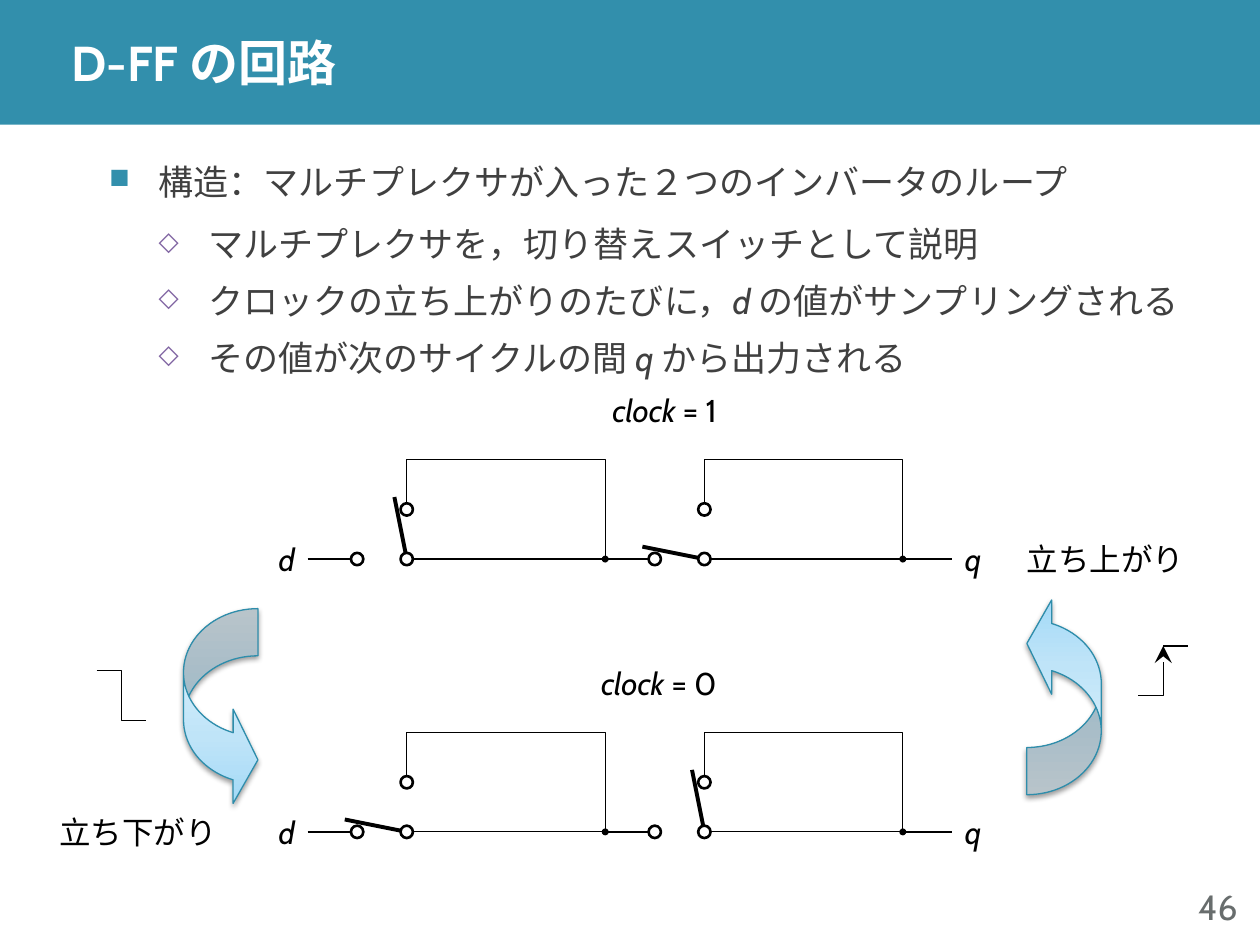
"""Build a slide that explains the D-FF circuit with two switch loops."""
from lxml.etree import SubElement
from pptx import Presentation
from pptx.dml.color import RGBColor
from pptx.enum.shapes import MSO_CONNECTOR, MSO_SHAPE
from pptx.enum.text import MSO_ANCHOR, PP_ALIGN
from pptx.oxml.ns import qn
from pptx.util import Cm, Inches, Pt

COLORS = {
    "band": "328FAC", "white": "FFFFFF", "black": "000000", "body": "404040",
    "number": "686D6D", "diamond": "8064A2", "arrow_edge": "2E8DAB",
}
ARROW_STOPS = [(0, "A2D9F7"), (35, "BFE4F8"), (100, "E6F5FD")]
FONT = "Cabin"
TITLE = "D-FF の回路"
POINTS = [
    (0, "構造：マルチプレクサが入った２つのインバータのループ"),
    (1, "マルチプレクサを，切り替えスイッチとして説明"),
    (1, "クロックの立ち上がりのたびに，*d* の値がサンプリングされる"),
    (1, "その値が次のサイクルの間 *q* から出力される"),
]
LEVELS = [
    dict(mark="■", color="band", size=80, before=0, after=6),
    dict(mark="◇", color="diamond", size=75, before=3, after=3),
]
CIRCUITS = [
    dict(row=0, clock="*clock* = 1", levers=[(-0.25, -1.25), (-1.25, -0.25)]),
    dict(row=5.5, clock="*clock* = 0", levers=[(-1.25, -0.25), (-0.25, -1.25)]),
]
EDGE_LABELS = [(15.25, -0.5, "立ち上がり"), (-4.25, 5, "立ち下がり")]
CYCLE_ARROWS = [(-1.5, 1, 0), (15.5, 0.75, 180)]
PIVOTS = [3, 9]
LOOP_WIDTH, LOOP_HEIGHT, CONTACT = 4, 2, 0.25
ORIGIN_X, ORIGIN_Y, CELL = Cm(5.2), Cm(11.27), Cm(1)

deck = Presentation()
deck.slide_width, deck.slide_height = Inches(10), Inches(7.5)
slide = deck.slides.add_slide(deck.slide_layouts[6])
shapes = slide.shapes


def rgb(name):
    return RGBColor.from_string(COLORS[name])


def at(column, row):
    return ORIGIN_X + round(column * CELL), ORIGIN_Y + round(row * CELL)


def box(column, row, width, height):
    return *at(column, row), round(width * CELL), round(height * CELL)


def add_bullet(paragraph, level):
    style = LEVELS[level]
    paragraph.level = level
    paragraph.line_spacing = 1.1
    paragraph.space_before, paragraph.space_after = Pt(style["before"]), Pt(style["after"])
    props = paragraph._p.get_or_add_pPr()
    props.set("marL", str(CELL * (level + 1)))
    props.set("indent", str(-CELL))
    SubElement(SubElement(props, qn("a:buClr")), qn("a:srgbClr"), val=COLORS[style["color"]])
    SubElement(props, qn("a:buSzPct"), val=str(style["size"] * 1000))
    SubElement(props, qn("a:buChar"), char=style["mark"])


def add_text(place, text, size=18, color="black", bold=False, align=PP_ALIGN.LEFT,
             wrap=False, margin=0.05):
    frame = shapes.add_textbox(*place).text_frame
    frame.word_wrap, frame.vertical_anchor = wrap, MSO_ANCHOR.MIDDLE
    frame.margin_top = frame.margin_bottom = Inches(margin)
    lines = [(None, text)] if isinstance(text, str) else text
    for index, (level, line) in enumerate(lines):
        paragraph = frame.add_paragraph() if index else frame.paragraphs[0]
        paragraph.alignment = align
        if level is not None:
            add_bullet(paragraph, level)
        for part, words in enumerate(line.split("*")):
            if words:
                run = paragraph.add_run()
                run.text = words
                font = run.font
                font.name, font.size, font.bold = FONT, Pt(size), bold
                font.italic = part % 2 == 1
                font.color.rgb = rgb(color)


def add_end(shape, end, kind, size):
    SubElement(shape.line._get_or_add_ln(), qn(f"a:{end}"), type=kind, w=size, len=size)


def add_wire(start, end, width=0.75, dot=False):
    wire = shapes.add_connector(MSO_CONNECTOR.STRAIGHT, *at(*start), *at(*end))
    wire.line.color.rgb, wire.line.width = rgb("black"), Pt(width)
    SubElement(wire._element.spPr, qn("a:effectLst"))
    if dot:
        add_end(wire, "headEnd", "oval", "sm")


def add_bent_wire(*points):
    start, *rest = [at(*point) for point in points]
    builder = shapes.build_freeform(*start)
    builder.add_line_segments(rest, close=False)
    wire = builder.convert_to_shape()
    wire.shadow.inherit = False
    wire.fill.background()
    wire.line.color.rgb, wire.line.width = rgb("black"), Pt(0.75)
    return wire


def add_contact(column, row):
    half = CONTACT / 2
    ring = shapes.add_shape(MSO_SHAPE.OVAL, *box(column - half, row - half, CONTACT, CONTACT))
    ring.shadow.inherit = False
    ring.fill.solid()
    ring.fill.fore_color.rgb = rgb("white")
    ring.line.color.rgb, ring.line.width = rgb("black"), Pt(1.5)


def add_circuit(row, clock, levers):
    add_wire((1, row), (2, row))
    for pivot, (dx, dy) in zip(PIVOTS, levers):
        corner, top = pivot + LOOP_WIDTH, row - LOOP_HEIGHT
        add_bent_wire((pivot, row), (corner, row), (corner, top), (pivot, top), (pivot, row - 1))
        add_wire((corner, row), (corner + 1, row), dot=True)
        add_contact(pivot, row - 1)
        add_contact(pivot - 1, row)
        add_wire((pivot, row), (pivot + dx, row + dy), width=2.25)
        add_contact(pivot, row)
    add_text(box(0, row - 0.5, 1, 1), "*d*", align=PP_ALIGN.RIGHT)
    add_text(box(14, row - 0.5, 1, 1), "*q*")
    add_text(box(6.5, row - 3.5, 3, 1), clock, align=PP_ALIGN.RIGHT)


def add_cycle_arrow(column, row, rotation):
    arrow = shapes.add_shape(MSO_SHAPE.CURVED_RIGHT_ARROW, *box(column, row, 1.5, 4))
    arrow.rotation = rotation
    for index, share in enumerate((0.634, 1.267, 0.333)):
        arrow.adjustments[index] = share
    arrow.fill.gradient()
    arrow.fill.gradient_angle = 90
    props = arrow._element.spPr
    stops = props.find(".//" + qn("a:gsLst"))
    stops.clear()
    for position, color in ARROW_STOPS:
        stop = SubElement(stops, qn("a:gs"), pos=str(position * 1000))
        SubElement(stop, qn("a:srgbClr"), val=color)
    arrow.line.color.rgb, arrow.line.width = rgb("arrow_edge"), Pt(0.75)
    arrow.shadow.inherit = False
    shadow = SubElement(props.find(qn("a:effectLst")), qn("a:outerShdw"), blurRad=str(Pt(3.1)),
                        dist=str(Pt(1.6)), dir="5400000", rotWithShape="0")
    tint = SubElement(shadow, qn("a:srgbClr"), val=COLORS["black"])
    SubElement(tint, qn("a:alpha"), val="38000")


band_height = Inches(0.99)
band = shapes.add_shape(MSO_SHAPE.RECTANGLE, 0, 0, deck.slide_width, band_height)
band.shadow.inherit = False
band.fill.solid()
band.fill.fore_color.rgb = rgb("band")
band.line.fill.background()
title_left = Inches(0.47)
add_text((title_left, 0, deck.slide_width - title_left, band_height), TITLE,
         size=28, color="white", bold=True, wrap=True, margin=0)

for circuit in CIRCUITS:
    add_circuit(**circuit)

rising_edge = add_bent_wire((17.75, 2.75), (18.25, 2.75), (18.25, 1.75))
add_end(rising_edge, "tailEnd", "stealth", "lg")
add_wire((18.25, 1.75), (18.75, 1.75))
add_bent_wire((-3.25, 2.25), (-2.75, 2.25), (-2.75, 3.25), (-2.25, 3.25))
for cycle_arrow in CYCLE_ARROWS:
    add_cycle_arrow(*cycle_arrow)

add_text(box(18, 6.5, 2, 1), "46", size=20, color="number", align=PP_ALIGN.RIGHT)
add_text(box(-3.25, -6.75, 23, 1.75), POINTS, size=20, color="body", wrap=True)
for column, row, label in EDGE_LABELS:
    add_text(box(column, row, 4, 1), label)

deck.save("out.pptx")
